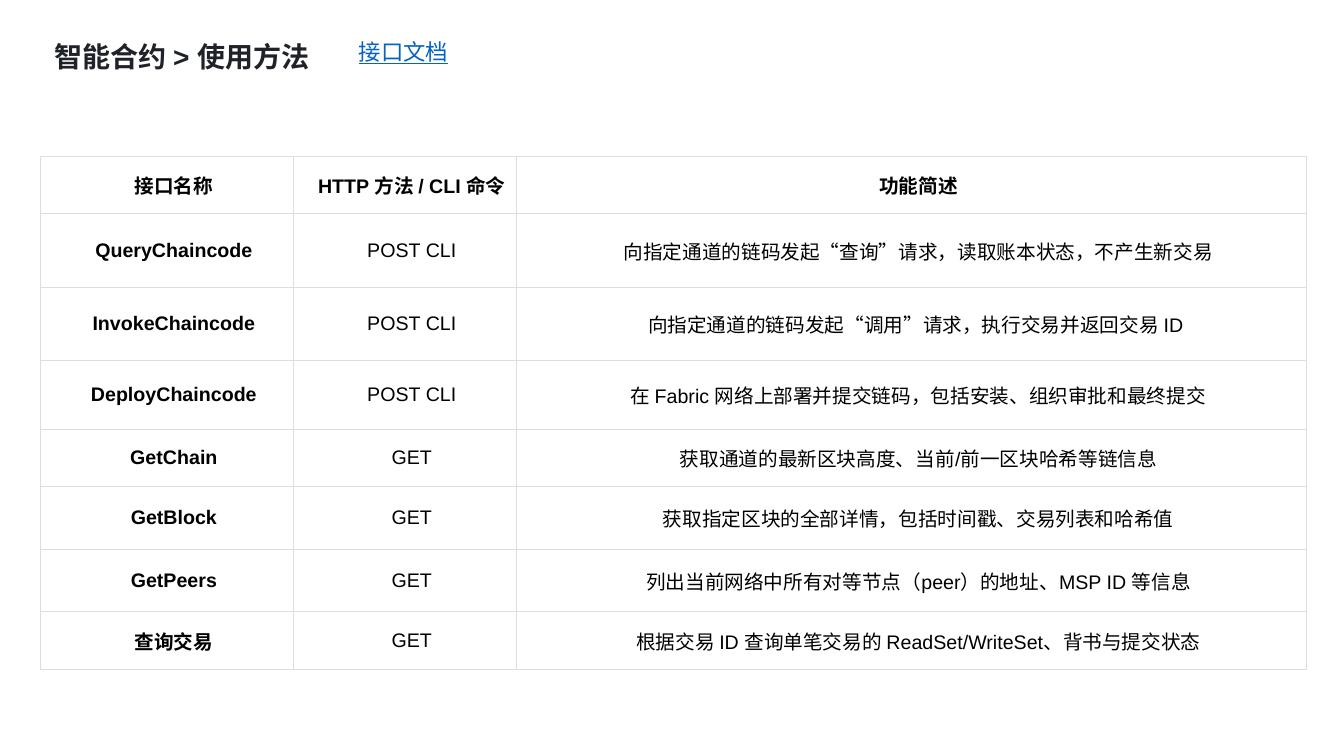
from lxml.etree import SubElement
from pptx import Presentation
from pptx.dml.color import RGBColor
from pptx.enum.text import MSO_ANCHOR, PP_ALIGN
from pptx.oxml.ns import qn
from pptx.util import Inches, Pt

COLORS = {
    "title": "1F2329",
    "link": "0563C1",
    "text": "000000",
    "border": "DDDEDF",
}
FONT = "Arial"
INSET = Inches(0.14)
COLUMN_WIDTHS = [2.51, 2.21, 7.84]
ROW_HEIGHTS = [0.57, 0.73, 0.73, 0.68, 0.57, 0.62, 0.62, 0.57]
INTERFACES = [
    ("接口名称", "HTTP 方法 / CLI 命令", "功能简述"),
    ("QueryChaincode", "POST CLI", "向指定通道的链码发起“查询”请求，读取账本状态，不产生新交易"),
    ("InvokeChaincode", "POST CLI", "向指定通道的链码发起“调用”请求，执行交易并返回交易 ID "),
    ("DeployChaincode", "POST CLI", "在 Fabric 网络上部署并提交链码，包括安装、组织审批和最终提交"),
    ("GetChain", "GET", "获取通道的最新区块高度、当前/前一区块哈希等链信息"),
    ("GetBlock", "GET", "获取指定区块的全部详情，包括时间戳、交易列表和哈希值"),
    ("GetPeers", "GET", "列出当前网络中所有对等节点（peer）的地址、MSP ID 等信息"),
    ("查询交易", "GET", "根据交易 ID 查询单笔交易的 ReadSet/WriteSet、背书与提交状态"),
]


def style_font(font, size, color, bold=False, underline=False):
    font.name = FONT
    font.size = Pt(size)
    font.bold = bold
    font.underline = underline
    font.color.rgb = RGBColor.from_string(COLORS[color])


def add_label(slide, text, left, top, width, height, size, color, **emphasis):
    box = slide.shapes.add_textbox(Inches(left), Inches(top), Inches(width), Inches(height))
    frame = box.text_frame
    frame.word_wrap = True
    frame.vertical_anchor = MSO_ANCHOR.MIDDLE
    frame.margin_left = frame.margin_right = INSET
    frame.margin_top = frame.margin_bottom = INSET
    paragraph = frame.paragraphs[0]
    paragraph.text = text
    paragraph.line_spacing = 1.25
    style_font(paragraph.font, size, color, **emphasis)


def add_borders(cell):
    properties = cell._tc.get_or_add_tcPr()
    for side in ("a:lnL", "a:lnR", "a:lnT", "a:lnB"):
        line = SubElement(properties, qn(side), w=str(Pt(1)))
        fill = SubElement(line, qn("a:solidFill"))
        SubElement(fill, qn("a:srgbClr"), val=COLORS["border"])


def fill_cell(cell, text, bold):
    cell.vertical_anchor = MSO_ANCHOR.MIDDLE
    cell.margin_left = cell.margin_top = cell.margin_bottom = INSET
    cell.margin_right = 0
    add_borders(cell)
    cell.fill.background()
    paragraph = cell.text_frame.paragraphs[0]
    paragraph.text = text
    paragraph.alignment = PP_ALIGN.CENTER
    style_font(paragraph.font, 14, "text", bold)


def add_interface_table(slide):
    table = slide.shapes.add_table(
        len(INTERFACES), len(COLUMN_WIDTHS),
        Inches(0.4), Inches(1.55), Inches(sum(COLUMN_WIDTHS)), Inches(sum(ROW_HEIGHTS)),
    ).table
    table.first_row = False
    table.horz_banding = False
    for column, width in zip(table.columns, COLUMN_WIDTHS):
        column.width = Inches(width)
    for row, height in zip(table.rows, ROW_HEIGHTS):
        row.height = Inches(height)
    for row_index, texts in enumerate(INTERFACES):
        for column_index, text in enumerate(texts):
            bold = row_index == 0 or column_index == 0
            fill_cell(table.cell(row_index, column_index), text, bold)


def main():
    presentation = Presentation()
    presentation.slide_width = Inches(13.33)
    presentation.slide_height = Inches(7.5)
    slide = presentation.slides.add_slide(presentation.slide_layouts[6])
    add_label(slide, "智能合约 > 使用方法", 0.4, 0.17, 3.36, 0.69, 20, "title", bold=True)
    add_interface_table(slide)
    add_label(slide, "接口文档", 3.42, 0.17, 1.67, 0.61, 16, "link", underline=True)
    presentation.save("out.pptx")


if __name__ == "__main__":
    main()
